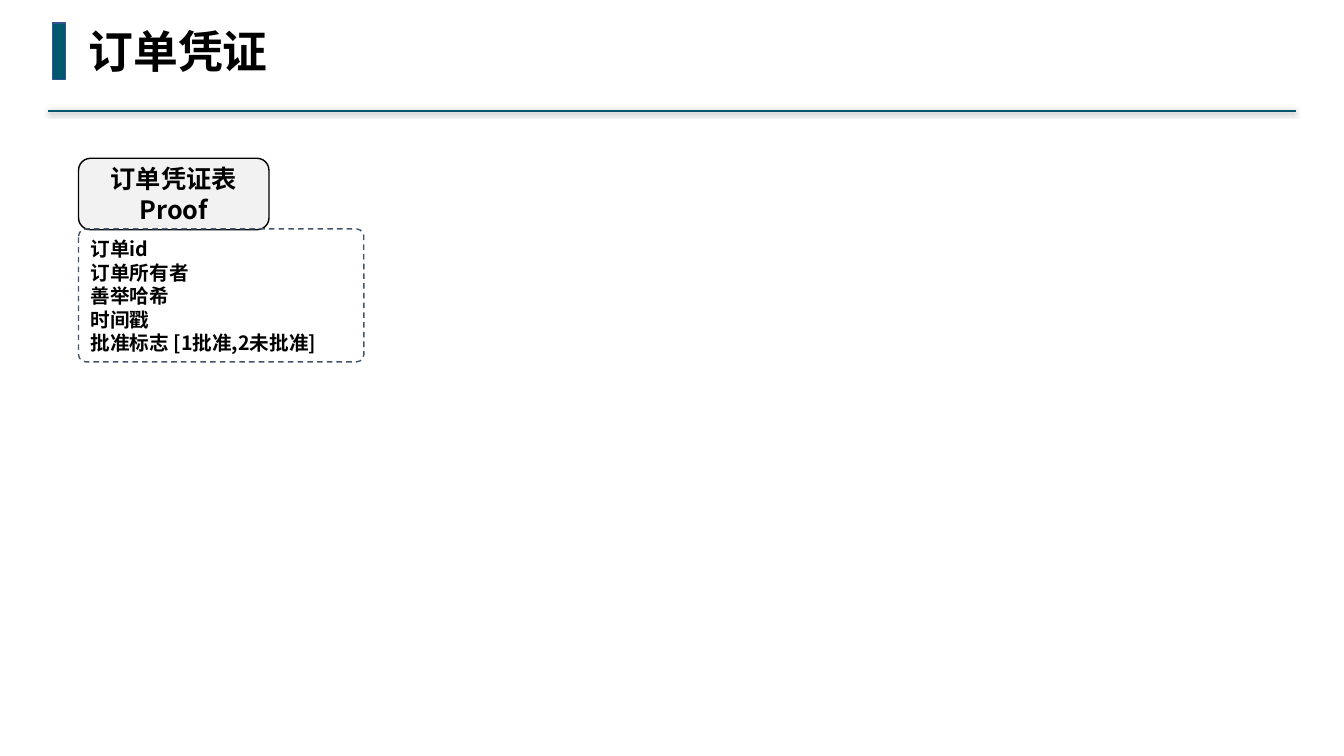
from dataclasses import dataclass
from typing import Optional

from lxml.etree import SubElement
from pptx import Presentation
from pptx.dml.color import RGBColor
from pptx.enum.dml import MSO_LINE_DASH_STYLE as Dash
from pptx.enum.shapes import MSO_CONNECTOR as Connector, MSO_SHAPE as Shape
from pptx.enum.text import MSO_ANCHOR as Anchor, MSO_AUTO_SIZE as AutoSize, PP_ALIGN as Align
from pptx.oxml.ns import qn
from pptx.util import Cm, Pt

COLORS = {
    "teal": "00576E",
    "accent_edge": "325491",
    "header_fill": "F2F2F2",
    "body_edge": "44546A",
    "black": "000000",
}
CJK_FONT = "Noto Sans CJK SC"
TITLE_FONT = "Courier New"


@dataclass(frozen=True)
class Box:
    left: float
    top: float
    width: float
    height: float
    kind: Shape
    edge: str
    fill: Optional[str] = None
    corner: Optional[float] = None
    dash: Optional[Dash] = None
    lines: tuple[str, ...] = ()
    size: int = 14
    align: Align = Align.LEFT
    anchor: Anchor = Anchor.MIDDLE
    inset: Optional[float] = None
    wrap: bool = True


BOXES = (
    Box(1.32, 0.58, 0.33, 1.42, Shape.RECTANGLE, "accent_edge", fill="teal"),
    Box(1.98, 3.99, 4.8, 1.8, Shape.ROUNDED_RECTANGLE, "black", fill="header_fill",
        lines=("订单凭证表", "Proof"), size=18, align=Align.CENTER, inset=0.1, wrap=False),
    Box(1.98, 5.77, 7.19, 3.35, Shape.ROUNDED_RECTANGLE, "body_edge", corner=0.055,
        dash=Dash.DASH, anchor=Anchor.BOTTOM,
        lines=("订单id", "订单所有者", "善举哈希", "时间戳", "批准标志 [1批准,2未批准]")),
)


def color(name: str) -> RGBColor:
    return RGBColor.from_string(COLORS[name])


def write_text(text_frame, lines: tuple[str, ...], size: int, font_name: str, align: Align) -> None:
    text_frame.text = "\n".join(lines)
    for paragraph in text_frame.paragraphs:
        paragraph.alignment = align
        for run in paragraph.runs:
            run.font.size = Pt(size)
            run.font.bold = True
            run.font.color.rgb = color("black")
            run.font.name = font_name
            SubElement(run.font._element, qn("a:ea"), typeface=CJK_FONT)


def draw_box(slide, box: Box) -> None:
    shape = slide.shapes.add_shape(
        box.kind, Cm(box.left), Cm(box.top), Cm(box.width), Cm(box.height))
    shape.shadow.inherit = False
    if box.fill:
        shape.fill.solid()
        shape.fill.fore_color.rgb = color(box.fill)
    else:
        shape.fill.background()
    shape.line.color.rgb = color(box.edge)
    shape.line.width = Pt(1)
    if box.dash is not None:
        shape.line.dash_style = box.dash
    if box.corner is not None:
        shape.adjustments[0] = box.corner
    if not box.lines:
        return
    text_frame = shape.text_frame
    text_frame.word_wrap = box.wrap
    text_frame.vertical_anchor = box.anchor
    if box.inset is not None:
        text_frame.margin_left = text_frame.margin_right = Cm(box.inset)
        text_frame.margin_top = text_frame.margin_bottom = Cm(box.inset)
    write_text(text_frame, box.lines, box.size, CJK_FONT, box.align)


def draw_title_rule(slide) -> None:
    rule = slide.shapes.add_connector(
        Connector.STRAIGHT, Cm(32.66), Cm(2.79), Cm(1.2), Cm(2.79))
    rule.line.color.rgb = color("teal")
    rule.line.width = Pt(1.5)
    effects = SubElement(rule._element.spPr, qn("a:effectLst"))
    shadow = SubElement(effects, qn("a:outerShdw"), blurRad=str(Pt(4)), dist=str(Pt(1)),
                        dir=str(90 * 60000), algn="t", rotWithShape="0")
    shade = SubElement(shadow, qn("a:srgbClr"), val=COLORS["black"])
    SubElement(shade, qn("a:alpha"), val="40000")


def draw_title(slide) -> None:
    title = slide.shapes.add_textbox(Cm(1.98), Cm(0.48), Cm(5.08), Cm(1.63))
    title.text_frame.word_wrap = False
    title.text_frame.auto_size = AutoSize.SHAPE_TO_FIT_TEXT
    write_text(title.text_frame, ("订单凭证",), 32, TITLE_FONT, Align.LEFT)


def main() -> None:
    presentation = Presentation()
    presentation.slide_width = Cm(33.87)
    presentation.slide_height = Cm(19.05)
    slide = presentation.slides.add_slide(presentation.slide_layouts[6])
    draw_title_rule(slide)
    draw_title(slide)
    for box in BOXES:
        draw_box(slide, box)
    presentation.save("out.pptx")


if __name__ == "__main__":
    main()
